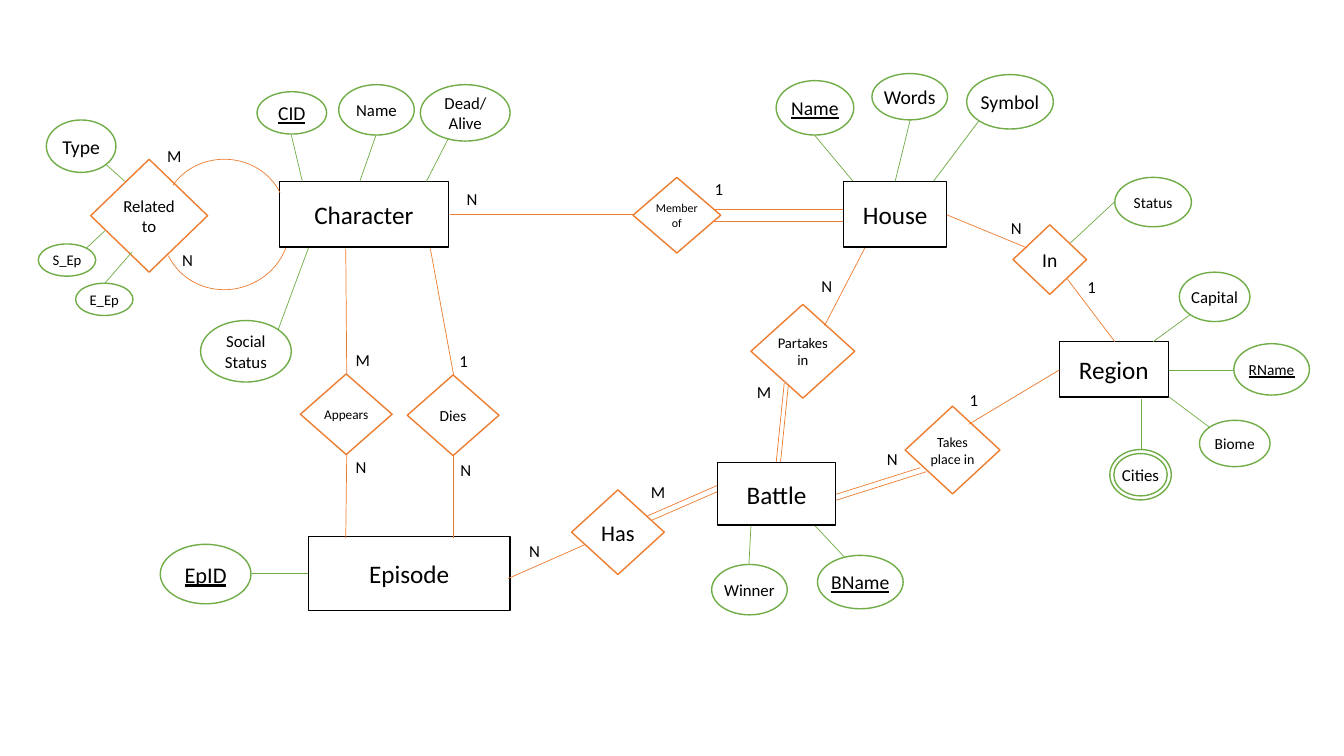
from dataclasses import dataclass

from lxml.etree import SubElement
from pptx import Presentation
from pptx.dml.color import RGBColor
from pptx.enum.shapes import MSO_CONNECTOR, MSO_SHAPE
from pptx.enum.text import MSO_ANCHOR, PP_ALIGN
from pptx.oxml.ns import qn
from pptx.util import Inches, Pt


@dataclass(frozen=True)
class Theme:
    font: str = "Calibri"
    paper: RGBColor = RGBColor(0xFF, 0xFF, 0xFF)
    ink: RGBColor = RGBColor(0, 0, 0)
    attribute: RGBColor = RGBColor(0x70, 0xAD, 0x47)
    relation: RGBColor = RGBColor(0xED, 0x7D, 0x31)
    outline: float = 1
    link: float = 0.5
    entity_size: float = 18
    label_size: float = 12
    arc_unit: float = 0.6


THEME = Theme()
COLUMNS, ROWS = 133.33, 75
CELL = Inches(0.1)

ENTITIES = [
    ("Character", (27.7, 18, 16.8, 6.5)),
    ("Region", (105.1, 33.9, 10.8, 5.5)),
    ("Episode", (30.6, 53.2, 20, 7.4)),
]
FRONT_ENTITIES = [
    ("House", (83.7, 18, 10.2, 6.5)),
    ("Battle", (71.2, 45.9, 11.7, 6.2)),
]
RELATIONS = [
    ("Related to", (9, 15.8, 11.6, 11.2), 12),
    ("Member of", (62.8, 17.6, 8.7, 7.5), 8.5),
    ("In", (100.5, 22.3, 7.3, 6.9), 14),
    ("Partakes in", (74.5, 30.2, 10.3, 9.3), 10.5),
    ("Takes place in", (89.8, 40.3, 9.4, 8.7), 10),
    ("Appears", (29.8, 37.1, 9.1, 8), 9.5),
    ("Dies", (40.4, 37.2, 9.1, 8), 11),
    ("Has", (56.7, 48.6, 9.2, 8.4), 16),
]
ATTRIBUTES = [
    ("Name", (33.6, 8.4, 7.5, 5), 12, (37.3, 13.4, 35.7, 18)),
    ("Type", (4.6, 11.9, 6.9, 5.2), 14, (10.5, 16.3, 12.4, 18)),
    ("Dead/Alive", (41.7, 8.4, 8.9, 5.6), 12, (42.3, 18, 44.5, 13.7)),
    ("Social Status", (19.9, 31.8, 9, 6.1), 12, (27.6, 32.7, 30.6, 24.6)),
    ("S_Ep", (3.8, 24.2, 5.7, 3.2), 10.5, (8.6, 24.6, 10.4, 22.9)),
    ("E_Ep", (7.5, 28.1, 5.7, 3.2), 10.5, (10.4, 28.1, 13.1, 25)),
    ("Words", (86.5, 7.3, 7.5, 4.6), 14, (90.3, 11.9, 88.8, 18)),
    ("Symbol", (95.9, 7.4, 8.6, 5.4), 14, (92.6, 18, 97.1, 12)),
    ("Status", (110.6, 17.6, 7.6, 4.9), 11, (106.2, 24.1, 110.6, 20)),
    ("Capital", (117, 27, 7, 4.9), 12, (114.4, 33.9, 118.1, 31.2)),
    ("Biome", (119, 41.7, 7, 4.6), 11, (116, 39.4, 120, 42.4)),
    ("Winner", (70.6, 56, 7.5, 5), 12, (74.5, 52.1, 74.3, 56)),
]
KEY_ATTRIBUTES = [
    ("CID", (25.5, 9.1, 6.9, 4.2), 14, (28.9, 13.4, 30, 18)),
    ("Name", (77, 8, 7.7, 5.4), 14, (80.8, 13.4, 84.8, 18.2)),
    ("RName", (122.4, 34.1, 7.5, 5.1), 11, (116, 36.7, 122.4, 36.7)),
    ("EpID", (15.9, 54, 9, 5.9), 16, (25, 56.9, 30.6, 56.9)),
    ("BName", (81.1, 55.1, 8.5, 5.3), 14, (80.8, 52.1, 83.8, 55.3)),
]
MULTIVALUED = ("Cities", (110.1, 44.6, 6.1, 5), 12, (113.2, 39.6, 113.2, 44.6))
SINGLE_LINKS = [
    (44.6, 21.3, 62.8, 21.3),
    (93.9, 21.3, 101.9, 24.6),
    (105.9, 27.7, 110.6, 33.9),
    (85.8, 24.6, 81.8, 32.3),
    (96.1, 42.1, 105.1, 36.7),
    (34.3, 24.7, 34.4, 37.1),
    (42.7, 24.7, 45, 37.2),
    (34.4, 45, 34.3, 53.4),
    (45, 45.1, 45, 53.4),
    (50.4, 57.4, 58.1, 54),
]
DOUBLE_LINKS = [
    ((70.8, 22, 83.6, 22), (0, -1.2)),
    ((77.8, 38, 77, 45.9), (0.4, 0.3)),
    ((64.2, 51.2, 71.3, 48.1), (0.5, 0.4)),
    ((81.8, 49.4, 91.3, 46.4), (0.6, 0.4)),
]
ARCS = [
    ((16.2, 15.8, 12.1, 11.2), (210.8, 337.7), 0),
    ((16.1, 16.6, 12.7, 12.1), (219.7, 355.8), 158.9),
]
LABELS = {
    "N": [(45.3, 18.2), (34.3, 44.8), (44.7, 45.1), (17.1, 24.3), (99.3, 21.1),
          (87, 44), (51.5, 53.2), (80.5, 26.9)],
    "M": [(15.6, 14), (34.3, 34.2), (63.6, 47.3), (74.1, 37.4)],
    "1": [(69.9, 17.2), (106.9, 27), (95.2, 38.2), (44.6, 34.3)],
}


def cells(lengths):
    return [round(length * CELL) for length in lengths]


def write(shape, text, size, underline=False):
    frame = shape.text_frame
    frame.word_wrap = True
    frame.text = text
    font = frame.paragraphs[0].runs[0].font
    font.name = THEME.font
    font.size = Pt(size)
    font.color.rgb = THEME.ink
    font.underline = underline or None


def add_node(slide, kind, text, box, size, color, underline=False):
    shape = slide.shapes.add_shape(kind, *cells(box))
    shape.shadow.inherit = False
    shape.fill.solid()
    shape.fill.fore_color.rgb = THEME.paper
    shape.line.color.rgb = color
    shape.line.width = Pt(THEME.outline)
    write(shape, text, size, underline)
    frame = shape.text_frame
    frame.margin_left = frame.margin_right = frame.margin_top = frame.margin_bottom = 0
    frame.vertical_anchor = MSO_ANCHOR.MIDDLE
    frame.paragraphs[0].alignment = PP_ALIGN.CENTER
    return shape


def add_link(slide, ends, color):
    connector = slide.shapes.add_connector(MSO_CONNECTOR.STRAIGHT, *cells(ends))
    connector.line.color.rgb = color
    connector.line.width = Pt(THEME.link)
    SubElement(connector._element.spPr, qn("a:effectLst"))


def add_double_link(slide, ends, offset):
    add_link(slide, ends, THEME.relation)
    shifted = [end + shift for end, shift in zip(ends, offset * 2)]
    add_link(slide, shifted, THEME.relation)


def add_arc(slide, box, angles, rotation):
    arc = slide.shapes.add_shape(MSO_SHAPE.ARC, *cells(box))
    arc.shadow.inherit = False
    arc.fill.background()
    arc.line.color.rgb = THEME.relation
    arc.line.width = Pt(THEME.link)
    arc.rotation = rotation
    for index, angle in enumerate(angles):
        arc.adjustments[index] = angle * THEME.arc_unit


def add_entity(slide, name, box):
    add_node(slide, MSO_SHAPE.RECTANGLE, name, box, THEME.entity_size, THEME.ink)


def add_attribute(slide, name, box, size, ends, kind=MSO_SHAPE.OVAL, key=False):
    shape = add_node(slide, kind, name, box, size, THEME.attribute, key)
    add_link(slide, ends, THEME.attribute)
    return shape


def add_label(slide, text, corner):
    label = slide.shapes.add_textbox(*cells((*corner, 2.7, 3)))
    write(label, text, THEME.label_size)


def main():
    presentation = Presentation()
    presentation.slide_width, presentation.slide_height = cells((COLUMNS, ROWS))
    slide = presentation.slides.add_slide(presentation.slide_layouts[6])
    for entity in ENTITIES:
        add_entity(slide, *entity)
    for name, box, size in RELATIONS:
        add_node(slide, MSO_SHAPE.DIAMOND, name, box, size, THEME.relation)
    for arc in ARCS:
        add_arc(slide, *arc)
    for attribute in ATTRIBUTES:
        add_attribute(slide, *attribute)
    for attribute in KEY_ATTRIBUTES:
        add_attribute(slide, *attribute, key=True)
    ring = add_attribute(slide, *MULTIVALUED, kind=MSO_SHAPE.DONUT)
    ring.adjustments[0] = 0.08
    for ends in SINGLE_LINKS:
        add_link(slide, ends, THEME.relation)
    for ends, offset in DOUBLE_LINKS:
        add_double_link(slide, ends, offset)
    for text, corners in LABELS.items():
        for corner in corners:
            add_label(slide, text, corner)
    for entity in FRONT_ENTITIES:
        add_entity(slide, *entity)
    presentation.save("out.pptx")


main()
